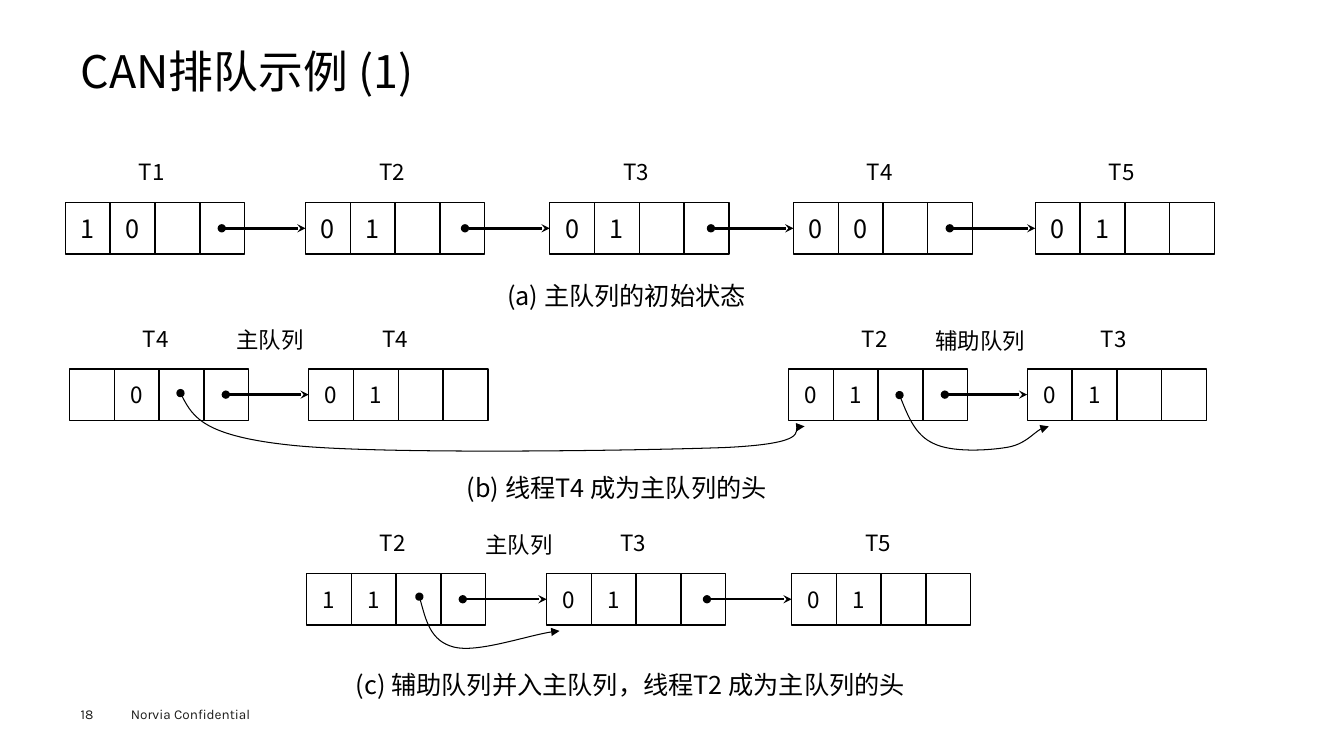
from dataclasses import dataclass

from lxml.etree import SubElement
from pptx import Presentation
from pptx.dml.color import RGBColor
from pptx.enum.shapes import MSO_CONNECTOR, MSO_SHAPE
from pptx.enum.text import MSO_ANCHOR, PP_ALIGN
from pptx.oxml.ns import qn
from pptx.util import Inches, Pt

# Grid of 30 by 30; one column is the width of a queue cell
SLIDE_W, SLIDE_H = Inches(13.33), Inches(7.5)
COLUMNS = ROWS = 30
CELL_ROWS = 2.04
CELLS_PER_NODE = 4
COLORS = {"ink": "000000", "footer": "1D1D1B"}
CJK_FONT, FOOTER_FONT = "Noto Sans CJK SC", "Karla"


@dataclass(frozen=True)
class Node:
    thread: str
    col: float
    bits: str
    linked: bool = False  # points at the following node
    dot: float = 3.49  # start of the pointer, in columns from the node


@dataclass(frozen=True)
class Queue:
    row: float
    bit_size: int
    nodes: tuple[Node, ...]


@dataclass(frozen=True)
class Label:
    text: str
    col: float
    row: float
    cols: float
    size: int


QUEUES = (
    Queue(8.04, 18, (
        Node("T1", 1.46, "10", True),
        Node("T2", 6.82, "01", True, 3.56),
        Node("T3", 12.27, "01", True, 3.6),
        Node("T4", 17.71, "00", True),
        Node("T5", 23.11, "01"),
    )),
    Queue(14.64, 16, (
        Node("T4", 1.55, " 0", True),
        Node("T4", 6.89, "01"),
        Node("T2", 17.6, "01", True),
        Node("T3", 22.93, "01"),
    )),
    Queue(22.76, 16, (
        Node("T2", 6.84, "11", True),
        Node("T3", 12.2, "01", True, 3.58),
        Node("T5", 17.67, "01"),
    )),
)

LABELS = (
    Label("(a) 主队列的初始状态", 11.1, 10.92, 6.21, 18),
    Label("(b) 线程T4 成为主队列的头", 10.2, 18.56, 7.58, 18),
    Label("(c) 辅助队列并入主队列，线程T2 成为主队列的头", 7.72, 26.36, 13.16, 18),
    Label("主队列", 5.06, 12.72, 2.16, 16),
    Label("辅助队列", 20.66, 12.76, 2.77, 16),
    Label("主队列", 10.62, 20.88, 2.16, 16),
)

# Start point, then three Bézier points for each segment
SECONDARY_LINKS = (
    ((4.03, 15.6), (4.28, 16.48), (4.55, 17.32), (6.57, 17.68), (8.6, 18.04),
     (14.29, 17.88), (16.18, 17.76), (18.09, 17.6), (17.64, 16.64), (17.96, 16.92)),
    ((20.08, 15.68), (20.26, 16.48), (20.44, 17.28), (20.84, 17.6), (21.25, 17.96),
     (22.03, 17.88), (22.46, 17.76), (22.89, 17.64), (23.18, 16.92), (23.41, 16.92)),
    ((9.36, 23.68), (9.5, 24.56), (9.61, 25.44), (10.13, 25.68), (10.65, 25.92),
     (12, 25.08), (12.49, 25.04)),
)


def x(cols: float) -> int:
    return round(SLIDE_W * cols / COLUMNS)


def y(rows: float) -> int:
    return round(SLIDE_H * rows / ROWS)


def write(shape, text: str, *, size: float, font: str = CJK_FONT, color: str = "ink",
          align=PP_ALIGN.LEFT, anchor=MSO_ANCHOR.MIDDLE, inset: bool = True,
          spacing: float | None = None) -> None:
    frame = shape.text_frame
    frame.word_wrap = True
    frame.vertical_anchor = anchor
    if not inset:
        frame.margin_left = frame.margin_right = frame.margin_top = frame.margin_bottom = 0
    paragraph = frame.paragraphs[0]
    paragraph.alignment = align
    paragraph.line_spacing = spacing
    run = paragraph.add_run()
    run.text = text
    run.font.size = Pt(size)
    run.font.name = font
    run.font.color.rgb = RGBColor.from_string(COLORS[color])
    SubElement(run.font._element, qn("a:ea"), typeface=font)


def add_text(slide, text: str, col: float, row: float, cols: float, rows: float,
             **style) -> None:
    write(slide.shapes.add_textbox(x(col), y(row), x(cols), y(rows)), text, **style)


def ink_line(shape, width: float, tail: str | None = None) -> None:
    shape.line.color.rgb = RGBColor.from_string(COLORS["ink"])
    shape.line.width = Pt(width)
    if tail:
        stroke = shape.element.spPr.find(qn("a:ln"))
        SubElement(stroke, qn("a:headEnd"), type="oval")
        SubElement(stroke, qn("a:tailEnd"), type=tail)


def add_cell(slide, col: float, row: float, bit: str, size: int):
    cell = slide.shapes.add_shape(MSO_SHAPE.RECTANGLE, x(col), y(row), x(1), y(CELL_ROWS))
    cell.shadow.inherit = False
    cell.fill.background()
    ink_line(cell, 1)
    if bit.strip():
        write(cell, bit, size=size, align=PP_ALIGN.CENTER)
    return cell


def add_queue(slide, queue: Queue) -> None:
    first_cells = []
    for node in queue.nodes:
        add_text(slide, node.thread, node.col + 1.42, queue.row - 1.96, 1.2, 1.48, size=16)
        cells = [add_cell(slide, node.col + i, queue.row, bit, queue.bit_size)
                 for i, bit in enumerate(node.bits.ljust(CELLS_PER_NODE))]
        first_cells.append(cells[0])
    middle = y(queue.row + CELL_ROWS / 2)
    for node, target in zip(queue.nodes, first_cells[1:]):
        if node.linked:
            pointer = slide.shapes.add_connector(
                MSO_CONNECTOR.STRAIGHT, x(node.col + node.dot), middle, target.left, middle)
            pointer.end_connect(target, 1)
            ink_line(pointer, 1.75, "stealth")
            SubElement(pointer.element.spPr, qn("a:effectLst"))


def add_curve(slide, points: tuple[tuple[float, float], ...]) -> None:
    start, *rest = [(x(col), y(row)) for col, row in points]
    builder = slide.shapes.build_freeform(*start)
    builder.add_line_segments(rest, close=False)
    link = builder.convert_to_shape()
    link.shadow.inherit = False
    link.fill.background()
    ink_line(link, 0.75, "triangle")
    # Turn each three straight segments into one Bézier segment
    outline = next(link.element.iter(qn("a:path")))
    segments = outline.findall(qn("a:lnTo"))
    for i in range(0, len(segments), 3):
        bezier = SubElement(outline, qn("a:cubicBezTo"))
        for segment in segments[i:i + 3]:
            bezier.append(segment[0])
            outline.remove(segment)


def main() -> None:
    deck = Presentation()
    deck.slide_width, deck.slide_height = SLIDE_W, SLIDE_H
    slide = deck.slides.add_slide(deck.slide_layouts[6])

    # Title and footer
    add_text(slide, "CAN排队示例 (1)", 1.8, 1.96, 26.4, 2.16, size=32,
             anchor=MSO_ANCHOR.TOP, inset=False, spacing=0.9)
    footer = dict(size=9.7, font=FOOTER_FONT, color="footer", anchor=MSO_ANCHOR.TOP)
    add_text(slide, "Norvia Confidential", 2.7, 27.8, 3.6, 1.08, **footer)
    add_text(slide, "18", 1.8, 28, 1.24, 0.64, inset=False, **footer)

    # Queues with their captions
    for queue in QUEUES:
        add_queue(slide, queue)
    for label in LABELS:
        add_text(slide, label.text, label.col, label.row, label.cols,
                 1.6 if label.size == 18 else 1.48, size=label.size)

    # Links to the secondary queue
    for points in SECONDARY_LINKS:
        add_curve(slide, points)

    deck.save("out.pptx")


if __name__ == "__main__":
    main()
